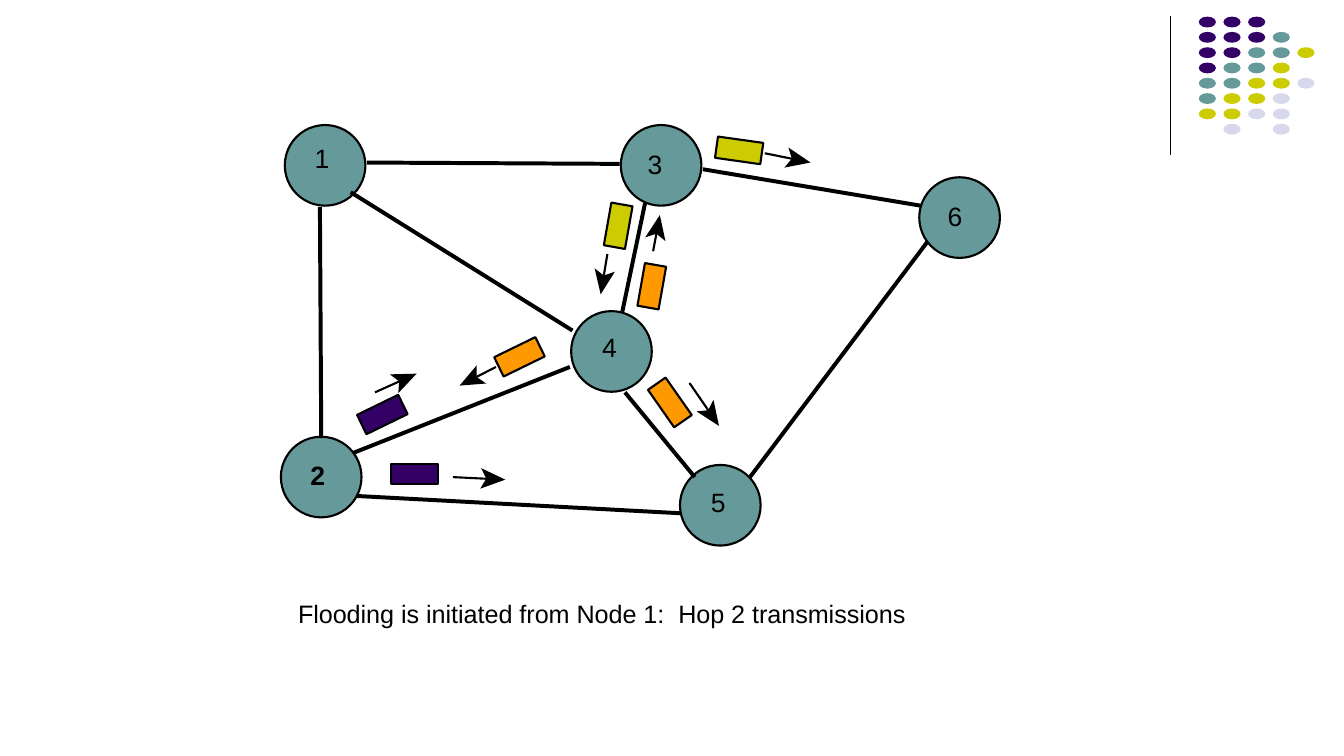
from math import atan2, cos, degrees, radians, sin
from typing import NamedTuple

from lxml.etree import SubElement
from pptx import Presentation
from pptx.dml.color import RGBColor
from pptx.enum.shapes import MSO_CONNECTOR as Link, MSO_SHAPE as Form
from pptx.oxml.ns import qn
from pptx.util import Pt

BLACK, TEAL, PURPLE = "000000", "669999", "330066"
LIME, PALE, ORANGE = "CCCC00", "D8D8EC", "FF9900"
THIN, THICK = 1.13, 2.13
SIZE = 43.2  # node diameter

Point = tuple[float, float]


class Node(NamedTuple):
    name: str
    mid: Point
    label: Point
    bold: bool = False


class Edge(NamedTuple):
    start: Point
    end: Point


class Packet(NamedTuple):
    mid: Point
    angle: float
    color: str
    long: float = 24.5
    wide: float = 11.5


NODES = [
    Node("1", (174.2, 88.6), (168.5, 76.3)),
    Node("2", (172.1, 255.6), (166.3, 246.2), True),
    Node("3", (354.2, 88.6), (347, 79.2)),
    Node("4", (327.6, 188.3), (322.6, 177.1)),
    Node("5", (385.9, 270.7), (380.9, 260.6)),
    Node("6", (514.1, 116.6), (507.6, 107.3)),
]
EDGES = [
    Edge((196.6, 87.1), (331.9, 87.8)),
    Edge((345.6, 108.7), (333.4, 167)),
    Edge((334.8, 210.2), (372.2, 255.6)),
    Edge((376.6, 90.7), (493.2, 110.2)),
    Edge((401.8, 255.6), (496.8, 129.6)),
    Edge((365, 275), (190.8, 265.7)),
    Edge((171.4, 110.9), (172.1, 234.7)),
    Edge((187.9, 103), (306.7, 177.1)),
    Edge((305.3, 196.6), (189.4, 242.6)),
]
PACKETS = [
    Packet((222.1, 253.8), 0, PURPLE, 25.2, 10.8),
    Packet((396, 80.6), 8, LIME),
    Packet((331.2, 121), 100, LIME, 23.2),
    Packet((349.2, 153.4), 100, ORANGE, 23.2),
    Packet((358.9, 215.6), 55, ORANGE),
    Packet((278.3, 191.2), -26, ORANGE),
    Packet((204.8, 222.1), -26, PURPLE),
]
ARROWS = [
    Edge((409.7, 82.1), (434.2, 87.1)),
    Edge((325.4, 136.1), (321.8, 157.7)),
    Edge((349.9, 134.6), (353.5, 115.2)),
    Edge((265.7, 196.6), (246.2, 206.6)),
    Edge((200.9, 210.2), (223.2, 200.2)),
    Edge((242.6, 255.6), (270.7, 257)),
    Edge((369.4, 205.2), (385.2, 228.2)),
]
# One letter per dot, a dot for an empty place
DOTS = ["PPP", "PPPT", "PPTTL", "PTTL", "TTLLG", "TLLG", "LLGG", ".G.G"]
DOT_COLORS = {"P": PURPLE, "T": TEAL, "L": LIME, "G": PALE}

deck = Presentation()
deck.slide_width, deck.slide_height = Pt(720), Pt(405)
slide = deck.slides.add_slide(deck.slide_layouts[6])
shapes = slide.shapes


def paint(part, color: str) -> None:
    """Give a fill, line fill or font a solid colour."""
    if hasattr(part, "solid"):
        part.solid()
        part = part.fore_color
    else:
        part = part.color
    part.rgb = RGBColor.from_string(color)


def style(shape, color: str, width: float = 0) -> None:
    shape.shadow.inherit = False
    paint(shape.fill, color)
    if width:
        paint(shape.line, BLACK)
        shape.line.width = Pt(width)
    else:
        shape.line.fill.background()


def preset(form: Form, mid: Point, wide: float, high: float,
           color: str, width: float = 0) -> None:
    x, y = mid[0] - wide / 2, mid[1] - high / 2
    shape = shapes.add_shape(form, Pt(x), Pt(y), Pt(wide), Pt(high))
    style(shape, color, width)


def outline(mid: Point, angle: float, spots: list[Point],
            color: str, width: float = 0) -> None:
    """Draw a closed outline, turned by angle around mid."""
    c, s = cos(radians(angle)), sin(radians(angle))
    pts = [(Pt(mid[0] + x * c - y * s), Pt(mid[1] + x * s + y * c))
           for x, y in spots]
    pen = shapes.build_freeform(*pts[0])
    pen.add_line_segments(pts[1:], close=True)
    style(pen.convert_to_shape(), color, width)


def line(start: Point, end: Point, width: float) -> None:
    link = shapes.add_connector(Link.STRAIGHT, *map(Pt, start + end))
    paint(link.line, BLACK)
    link.line.width = Pt(width)
    SubElement(link._element.spPr, qn("a:effectLst"))


def write(words: str, spot: Point, wide: float, high: float, *, size: float,
          bold: bool = False, wrap: bool = True, inset: Point = (0, 0)) -> None:
    frame = shapes.add_textbox(*map(Pt, (*spot, wide, high))).text_frame
    frame.word_wrap = wrap
    frame.margin_left = frame.margin_right = Pt(inset[0])
    frame.margin_top = frame.margin_bottom = Pt(inset[1])
    run = frame.paragraphs[0].add_run()
    run.text = words
    font = run.font
    font.name, font.size, font.bold = "Arial", Pt(size), bold
    paint(font, BLACK)


def packet(item: Packet) -> None:
    x, y = item.long / 2, item.wide / 2
    if item.angle:
        box = [(-x, -y), (x, -y), (x, y), (-x, y)]
        outline(item.mid, item.angle, box, item.color, THIN)
    else:
        preset(Form.RECTANGLE, item.mid, item.long, item.wide,
               item.color, THIN)


def arrow(start: Point, tip: Point) -> None:
    """Draw a thin shaft with a notched head ending at tip."""
    turn = atan2(tip[1] - start[1], tip[0] - start[0])
    notch = 10.2
    line(start, (tip[0] - notch * cos(turn), tip[1] - notch * sin(turn)), THIN)
    head = [(0, 0), (-13.2, 5.5), (-notch, 0), (-13.2, -5.5)]
    outline(tip, degrees(turn), head, BLACK)


# Corner rule and dot grid
line((627.1, 8.6), (627.1, 82.8), 0.75)
for row, marks in enumerate(DOTS):
    for col, mark in enumerate(marks):
        if mark in DOT_COLORS:
            spot = (646.8 + 13.2 * col, 11.8 + 8.2 * row)
            preset(Form.OVAL, spot, 9.2, 5.8, DOT_COLORS[mark])

# Network
for node in NODES:
    preset(Form.OVAL, node.mid, SIZE, SIZE, TEAL, THIN)
for edge in EDGES:
    line(*edge, THICK)
for node in NODES:
    write(node.name, node.label, 7.9, 17.3, size=14.2,
          bold=node.bold, wrap=False)

# Packets and their directions
for item in PACKETS:
    packet(item)
for edge in ARROWS:
    arrow(*edge)

# Caption
write("Flooding is initiated from Node 1:  Hop 2 transmissions",
      (152.6, 316.8), 362.9, 23.8, size=13.5, inset=(7.2, 3.6))

deck.save("out.pptx")
